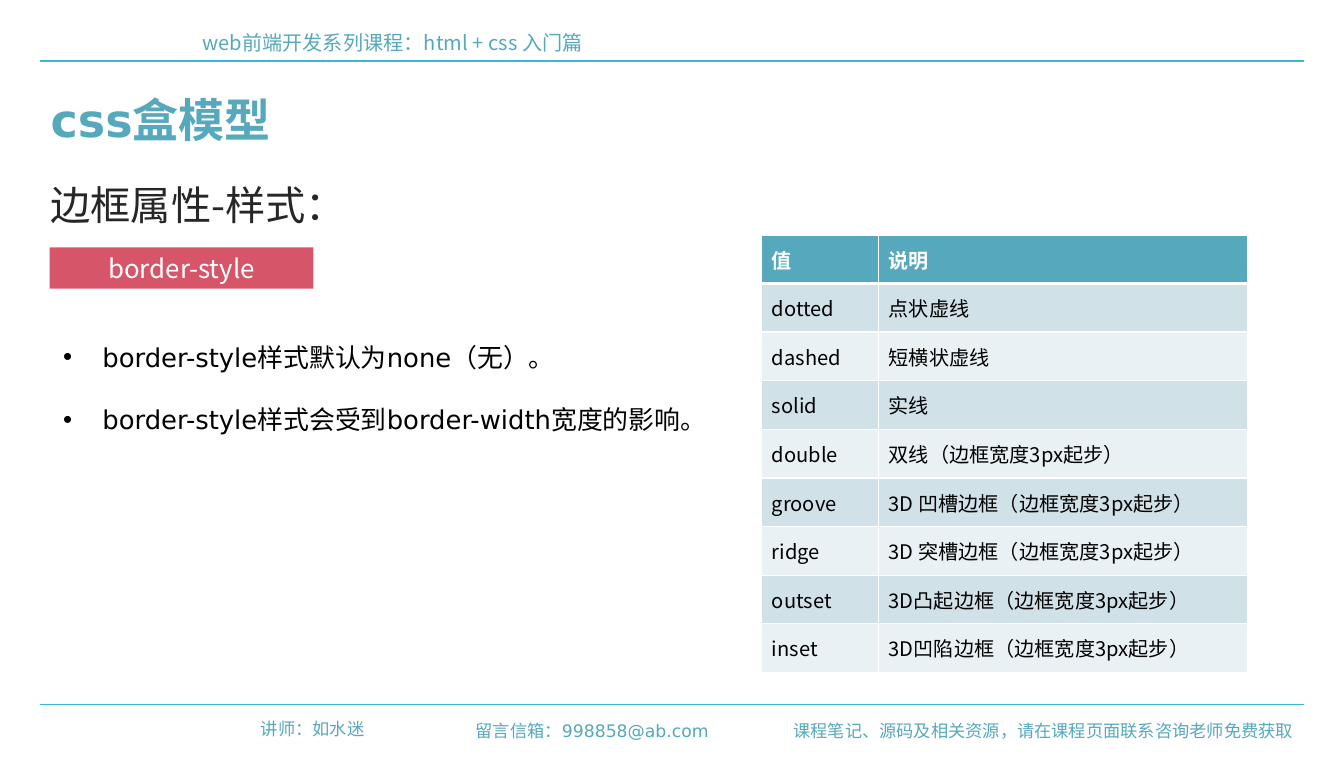
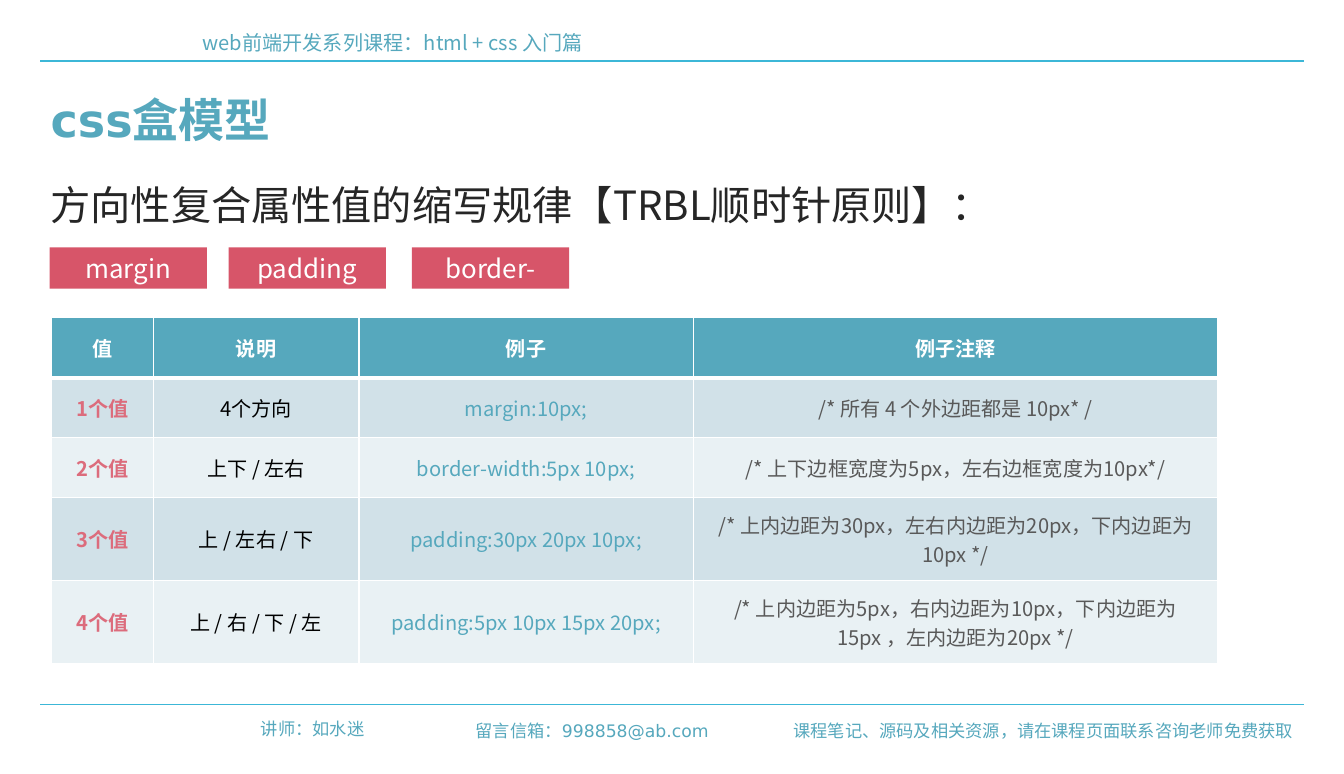
from lxml.etree import SubElement
from pptx import Presentation
from pptx.dml.color import RGBColor
from pptx.enum.shapes import MSO_CONNECTOR as Connector, MSO_SHAPE as Shape
from pptx.enum.text import MSO_ANCHOR as Anchor, MSO_AUTO_SIZE as AutoSize, PP_ALIGN as Align
from pptx.oxml.ns import qn
from pptx.util import Pt

PX = 9144
SANS = "DejaVu Sans"
CJK = "Noto Sans CJK SC"
COLORS = {
    "teal": "56A8BD", "rule": "3CB7D7", "red": "D75569", "pink": "DC6C7C",
    "ink": "262626", "black": "000000", "gray": "595959", "white": "FFFFFF",
    "dark_band": "D1E1E8", "light_band": "E9F1F4",
}


def rgb(name):
    return RGBColor.from_string(COLORS[name])


def emu(*lengths):
    return [n * PX for n in lengths]


def write(tf, text, size=14, color="teal", font=CJK, bold=False, align=Align.LEFT,
          anchor=Anchor.TOP, spacing=None, bullet=None, indent=38):
    tf.word_wrap = True
    tf.vertical_anchor = anchor
    for i, line in enumerate(text.split("\n")):
        p = tf.paragraphs[0] if i == 0 else tf.add_paragraph()
        p.alignment = align
        p.space_before = Pt(0)
        if spacing:
            p.line_spacing = spacing
        if bullet:
            pPr = p._p.get_or_add_pPr()
            pPr.set("marL", str(indent * PX))
            pPr.set("indent", str(-indent * PX))
            SubElement(pPr, qn("a:buChar"), char=bullet)
        r = p.add_run()
        r.text = line
        r.font.size = Pt(size)
        r.font.bold = bold
        r.font.name = font
        r.font.color.rgb = rgb(color)
        SubElement(r._r.get_or_add_rPr(), qn("a:ea"), typeface=CJK)


def set_border(cell, side, width, color="white"):
    ln = SubElement(cell._tc.get_or_add_tcPr(), qn(f"a:ln{side}"), w=str(Pt(width)))
    fill = SubElement(ln, qn("a:solidFill"))
    SubElement(fill, qn("a:srgbClr"), val=COLORS[color])


class Deck:
    def __init__(self, width, height):
        self.prs = Presentation()
        self.prs.slide_width, self.prs.slide_height = emu(width, height)
        self.s = None

    def slide(self, title, subtitle, layout):
        self.s = self.prs.slides.add_slide(self.prs.slide_layouts[layout])
        self.rule(59)
        self.rule(681)
        self.text("web前端开发系列课程：html + css 入门篇", 186, 24, 1051, 34)
        note = dict(size=12, font=SANS, align=Align.RIGHT)
        self.text("讲师：如水迷", 224, 689, 138, 30, **note)
        self.text("留言信箱：998858@ab.com", 429, 691, 266, 30, **note)
        self.text("课程笔记、源码及相关资源，请在课程页面联系咨询老师免费获取",
                  752, 691, 508, 30, **note)
        self.fill_placeholder(0, title, 39, 83, 1220, 64, size=32, font=SANS,
                              bold=True, anchor=Anchor.MIDDLE)
        self.text(subtitle, 39, 169, 1028, 57, size=28, color="ink")

    def rule(self, y, left=39, right=1260):
        line = self.s.shapes.add_connector(Connector.STRAIGHT, *emu(left, y, right, y))
        line.line.color.rgb = rgb("rule")
        line.line.width = Pt(0.75)
        SubElement(line._element.spPr, qn("a:effectLst"))

    def text(self, text, x, y, w, h, **fmt):
        sp = self.s.shapes.add_textbox(*emu(x, y, w, h))
        write(sp.text_frame, text, **fmt)

    def fill_placeholder(self, idx, text, x, y, w, h, **fmt):
        sp = self.s.placeholders[idx]
        sp.left, sp.top, sp.width, sp.height = emu(x, y, w, h)
        sp.text_frame.auto_size = AutoSize.NONE
        write(sp.text_frame, text, **fmt)

    def bullets(self, items, x, y, w, h):
        self.fill_placeholder(1, "\n".join(items), x, y, w, h, size=18, color="black",
                              font=SANS, spacing=2.0, bullet="•")

    def tag(self, text, x, w, y=239, h=40):
        sp = self.s.shapes.add_shape(Shape.RECTANGLE, *emu(x, y, w, h))
        sp.shadow.inherit = False
        sp.fill.solid()
        sp.fill.fore_color.rgb = rgb("red")
        sp.line.fill.background()
        write(sp.text_frame, text, size=18, color="white", align=Align.CENTER,
              anchor=Anchor.MIDDLE)

    def table(self, rows, x, y, widths, heights, colors, align=Align.LEFT,
              bold_first=False, margins=None):
        frame = self.s.shapes.add_table(
            len(rows), len(widths), *emu(x, y, sum(widths), sum(heights)))
        table = frame.table
        for column, width in zip(table.columns, widths):
            column.width = width * PX
        for i, (row, height) in enumerate(zip(rows, heights)):
            table.rows[i].height = height * PX
            band = "teal" if i == 0 else "dark_band" if i % 2 else "light_band"
            for j, text in enumerate(row):
                cell = table.cell(i, j)
                for side in "LRTB":
                    under_header = (i, side) in ((0, "B"), (1, "T"))
                    set_border(cell, side, 3 if under_header else 1)
                cell.fill.solid()
                cell.fill.fore_color.rgb = rgb(band)
                if margins:
                    cell.margin_left = cell.margin_right = margins[j] * PX
                write(cell.text_frame, text, align=align,
                      color="white" if i == 0 else colors[j],
                      bold=i == 0 or (bold_first and j == 0))
                cell.vertical_anchor = Anchor.MIDDLE


STYLES = [
    ("值", "说明"),
    ("dotted", "点状虚线"),
    ("dashed", "短横状虚线"),
    ("solid", "实线"),
    ("double", "双线（边框宽度3px起步）"),
    ("groove", "3D 凹槽边框（边框宽度3px起步）"),
    ("ridge", "3D 突槽边框（边框宽度3px起步）"),
    ("outset", "3D凸起边框（边框宽度3px起步）"),
    ("inset", "3D凹陷边框（边框宽度3px起步）"),
]
SHORTHANDS = [
    ("值", "说明", "例子", "例子注释"),
    ("1个值", "4个方向", "margin:10px;", "/* 所有 4 个外边距都是 10px* /"),
    ("2个值", "上下 / 左右", "border-width:5px 10px;",
     "/* 上下边框宽度为5px，左右边框宽度为10px*/"),
    ("3个值", "上 / 左右 / 下", "padding:30px 20px 10px;",
     "/* 上内边距为30px，左右内边距为20px，下内边距为10px */"),
    ("4个值", "上 / 右 / 下 / 左", "padding:5px 10px 15px 20px;",
     "/* 上内边距为5px，右内边距为10px，下内边距为15px ，左内边距为20px */"),
]


def main():
    deck = Deck(1299, 748)

    deck.slide("css盒模型", "边框属性-样式：", layout=1)
    deck.bullets(["border-style样式默认为none（无）。",
                  "border-style样式会受到border-width宽度的影响。"], 51, 295, 654, 131)
    deck.tag("border-style", 48, 255)
    deck.table(STYLES, 736, 227, [113, 357], [47] * len(STYLES), ["black", "black"])

    deck.slide("css盒模型", "方向性复合属性值的缩写规律【TRBL顺时针原则】：", layout=5)
    for text, x in (("margin", 48), ("padding", 221), ("border-", 398)):
        deck.tag(text, x, 152)
    deck.table(SHORTHANDS, 50, 307, [98, 199, 323, 507], [58, 58, 58, 80, 80],
               ["pink", "black", "teal", "gray"], align=Align.CENTER,
               bold_first=True, margins=[10, 27, 10, 10])

    deck.prs.save("out.pptx")


if __name__ == "__main__":
    main()
